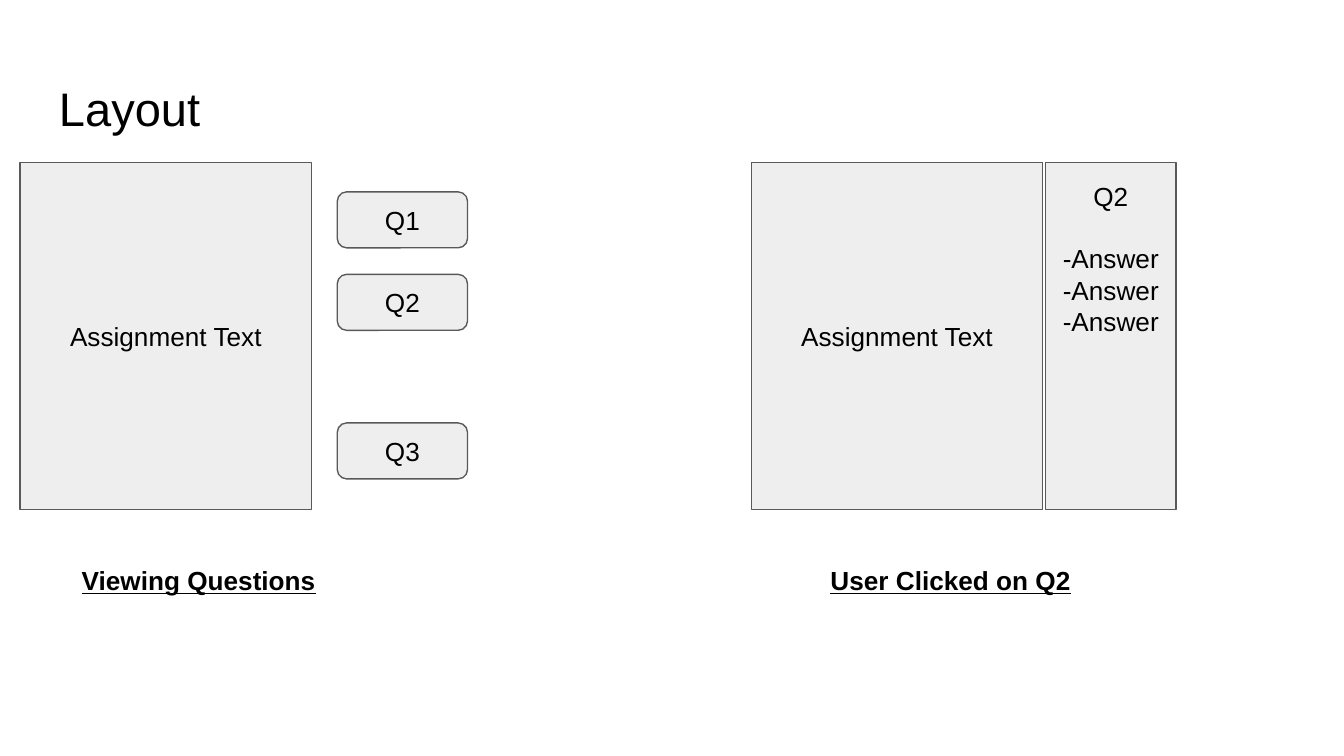
import dataclasses

import pptx
import pptx.dml.color
import pptx.enum.shapes
import pptx.enum.text
import pptx.util

Pt = pptx.util.Pt
Rgb = pptx.dml.color.RGBColor
Kind = pptx.enum.shapes.MSO_SHAPE
Align = pptx.enum.text.PP_ALIGN
Anchor = pptx.enum.text.MSO_ANCHOR


@dataclasses.dataclass(frozen=True)
class Theme:
    font: str = "Arial"
    ink: Rgb = Rgb(0x00, 0x00, 0x00)
    fill: Rgb = Rgb(0xEE, 0xEE, 0xEE)
    edge: Rgb = Rgb(0x59, 0x59, 0x59)
    title: float = 25.2
    body: float = 14
    inset: float = 7.2
    line: float = 0.75


THEME = Theme()
TOP, TALL = 87.1, 185.8
PAGE_W, SIDE_W = 156.2, 69.8
LEFT, RIGHT = 10.8, 402.5


def write(shape, text, size, align, anchor, bold=False):
    frame = shape.text_frame
    frame.text = text
    frame.word_wrap = True
    frame.vertical_anchor = anchor
    frame.margin_left = frame.margin_right = Pt(THEME.inset)
    frame.margin_top = frame.margin_bottom = Pt(THEME.inset)
    for para in frame.paragraphs:
        para.alignment = align
        for run in para.runs:
            font = run.font
            font.name, font.size = THEME.font, Pt(size)
            font.color.rgb = THEME.ink
            if bold:
                font.bold = font.underline = True


def add_label(slide, text, x, y, w, h, size=THEME.body, bold=False):
    box = slide.shapes.add_textbox(Pt(x), Pt(y), Pt(w), Pt(h))
    write(box, text, size, Align.LEFT, Anchor.TOP, bold)


def add_box(slide, text, x, y, w, h, kind=Kind.RECTANGLE,
            anchor=Anchor.MIDDLE):
    box = slide.shapes.add_shape(kind, Pt(x), Pt(y), Pt(w), Pt(h))
    box.shadow.inherit = False
    box.fill.solid()
    box.fill.fore_color.rgb = THEME.fill
    box.line.color.rgb = THEME.edge
    box.line.width = Pt(THEME.line)
    write(box, text, THEME.body, Align.CENTER, anchor)
    return box


def add_page(slide, x):
    add_box(slide, "Assignment Text", x, TOP, PAGE_W, TALL)


def add_side(slide, x):
    """Add the panel with the chosen question above its answers."""
    text = "\n".join(["Q2"] + ["-Answer"] * 3)
    frame = add_box(slide, text, x, TOP, SIDE_W, TALL,
                    anchor=Anchor.TOP).text_frame
    frame.margin_top = Pt(9.3)
    frame.paragraphs[0].space_after = Pt(16.8)


def main():
    deck = pptx.Presentation()
    deck.slide_width, deck.slide_height = Pt(720), Pt(405)
    slide = deck.slides.add_slide(deck.slide_layouts[6])

    add_label(slide, "Layout", 24.5, 35.3, 671, 45.4, THEME.title)

    add_page(slide, LEFT)
    for name, y in (("Q1", 102.8), ("Q2", 147), ("Q3", 226.6)):
        add_box(slide, name, 180.7, y, SIDE_W, 30, Kind.ROUNDED_RECTANGLE)

    add_page(slide, RIGHT)
    add_side(slide, 560.2)

    for text, x in (("Viewing Questions", 36.7),
                    ("User Clicked on Q2", 437.8)):
        add_label(slide, text, x, 295.2, 184.3, 54, bold=True)

    deck.save("out.pptx")


if __name__ == "__main__":
    main()
